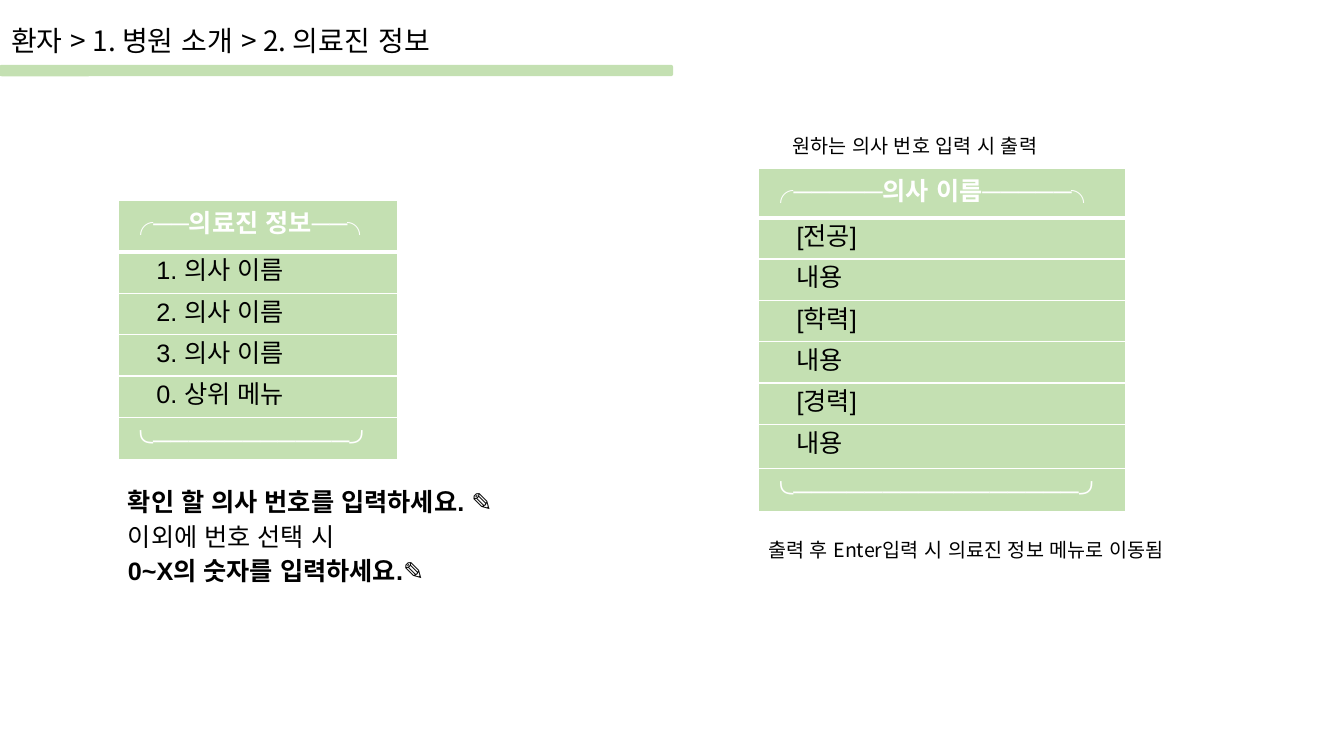
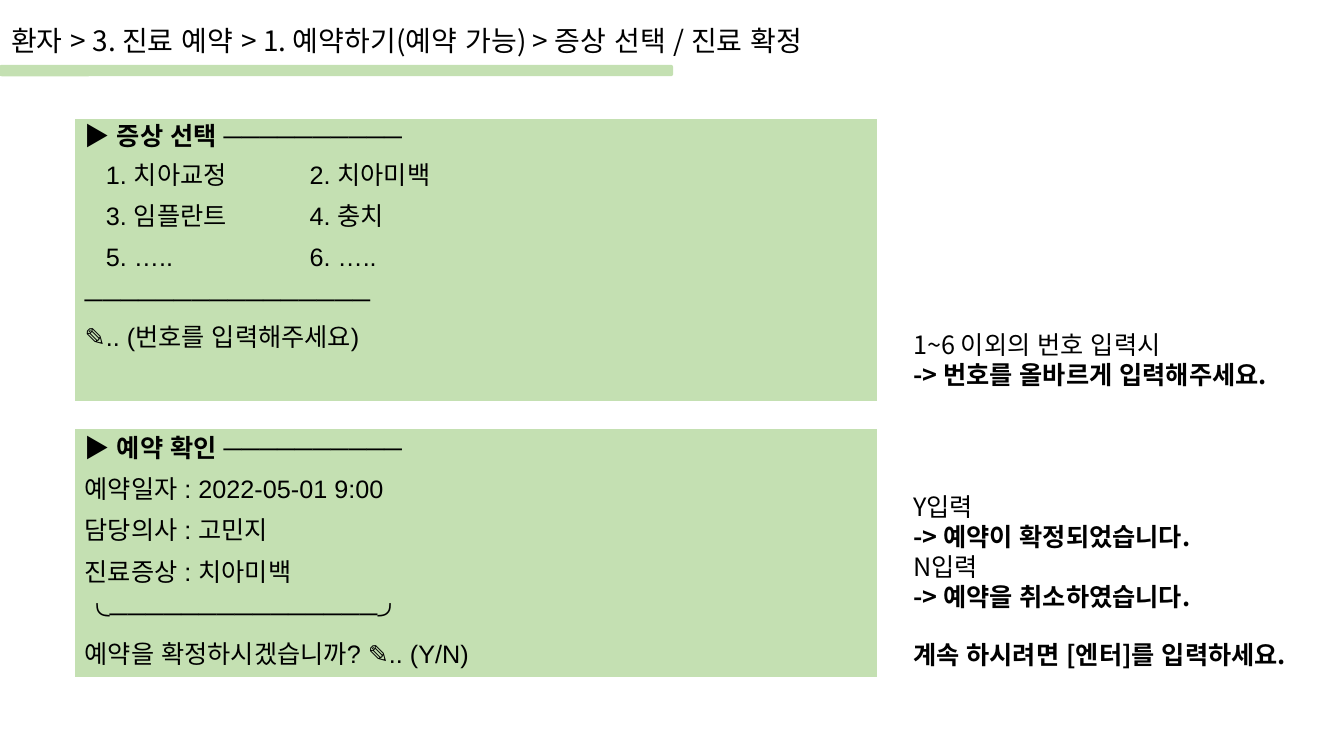
from dataclasses import dataclass

from lxml import etree
from pptx import Presentation
from pptx.dml.color import RGBColor
from pptx.enum.shapes import MSO_SHAPE
from pptx.enum.text import MSO_ANCHOR, MSO_AUTO_SIZE, PP_ALIGN
from pptx.oxml.ns import qn
from pptx.util import Inches, Pt

ROUNDED = MSO_SHAPE.ROUNDED_RECTANGLE
TOP = MSO_ANCHOR.TOP
LEFT = PP_ALIGN.LEFT
FIXED = MSO_AUTO_SIZE.NONE
PLAIN_TABLE_STYLE = "{2D5ABB26-0587-4C30-8999-92F81FD0307C}"


@dataclass(frozen=True)
class Theme:
    green: RGBColor = RGBColor(0xC4, 0xE0, 0xB2)
    white: RGBColor = RGBColor(0xFF, 0xFF, 0xFF)
    black: RGBColor = RGBColor(0x00, 0x00, 0x00)
    korean_font: str = "Noto Sans CJK KR"
    menu_font: str = "Arial"
    title_size: int = 20
    body_size: int = 18
    note_size: int = 14
    line_spacing: float = 1.15


THEME = Theme()


def write_lines(frame, lines, font_name, size, colour=THEME.black, spacing=None):
    for index, spans in enumerate(lines):
        para = frame.paragraphs[0] if index == 0 else frame.add_paragraph()
        para.alignment = LEFT
        para.line_spacing = spacing
        for text, bold in spans:
            span = para.add_run()
            span.text = text
            span.font.name = font_name
            span.font.size = Pt(size)
            span.font.bold = bold
            span.font.color.rgb = colour
            east_asian = etree.SubElement(span.font._element, qn("a:ea"))
            east_asian.set("typeface", THEME.menu_font)


def draw_borders(cell, edges, bottom_width):
    properties = cell._tc.get_or_add_tcPr()
    for position, edge in enumerate(edges):
        border = etree.Element(qn(f"a:ln{edge}"))
        border.set("w", str(Pt(bottom_width if edge == "B" else 1)))
        fill = etree.SubElement(border, qn("a:solidFill"))
        etree.SubElement(fill, qn("a:srgbClr")).set("val", str(THEME.white))
        properties.insert(position, border)


deck = Presentation()
deck.slide_width = Inches(13.33)
deck.slide_height = Inches(7.5)

titles = [
    ("환자 > 1. 병원 소개 > 2. 의료진 정보", 7.61),
    ("환자 > 3. 진료 예약 > 1. 예약하기(예약 가능) > 증상 선택 / 진료 확정", 9.15),
]
pages = []
for title_text, title_width in titles:
    page = deck.slides.add_slide(deck.slide_layouts[5])
    pages.append(page)

    band = page.shapes.add_shape(ROUNDED, 0, Inches(0.65), Inches(6.67), Inches(0.1))
    band.adjustments[0] = 0.17
    band.shadow.inherit = False
    band.fill.solid()
    band.fill.fore_color.rgb = THEME.green
    band.line.color.rgb = THEME.green
    band.line.width = Pt(1)

    title = page.shapes.title
    title.left, title.top = Inches(0.01), Inches(0.18)
    title.width, title.height = Inches(title_width), Inches(0.44)
    title.text_frame.vertical_anchor = TOP
    title.text_frame.auto_size = FIXED
    write_lines(title.text_frame, [[(title_text, False)]], THEME.korean_font, THEME.title_size)

doctor_page, booking_page = pages

framed_menus = [
    (1.17, 1.99, 2.77, [0.51] + [0.41] * 5,
     ["╭──의료진 정보──╮", "1. 의사 이름", "2. 의사 이름", "3. 의사 이름", "0. 상위 메뉴",
      "╰───────────╯"]),
    (7.52, 1.67, 3.64, [0.49] + [0.41] * 5 + [0.44, 0.41],
     ["╭─────의사 이름─────╮", "[전공]", "내용", "[학력]", "내용", "[경력]", "내용",
      "╰────────────────╯"]),
]
open_menus = [
    (0.74, 1.17, 7.96, [0.25, 0.41, 0.41, 0.41, 0.2, 0.41, 0.41],
     ["▶ 증상 선택 ──────────", "1. 치아교정\t2. 치아미백", "3. 임플란트\t4. 충치",
      "5. …..\t6. …..", "────────────────", "✎.. (번호를 입력해주세요)", ""],
     ["LRT", "", "", "", "", "LR", "LRB"]),
    (0.74, 4.26, 7.96, [0.41] * 6,
     ["▶ 예약 확인 ──────────", "예약일자 : 2022-05-01 9:00", "담당의사 : 고민지",
      "진료증상 : 치아미백", "╰───────────────╯", "예약을 확정하시겠습니까? ✎.. (Y/N)"],
     ["", "", "", "", "", "LRB"]),
]
menus = [
    (doctor_page, True, *menu, ["LRTB"] + ["LRB"] * (len(menu[4]) - 1))
    for menu in framed_menus
] + [(booking_page, False, *menu) for menu in open_menus]

for page, framed, left, top, width, heights, texts, borders in menus:
    frame = page.shapes.add_table(
        len(texts), 1, Inches(left), Inches(top), Inches(width), Inches(sum(heights)))
    table = frame.table
    table._tbl.tblPr.find(qn("a:tableStyleId")).text = PLAIN_TABLE_STYLE
    table.first_row = False
    table.horz_banding = False
    for index, (height, text, edges) in enumerate(zip(heights, texts, borders)):
        table.rows[index].height = Inches(height)
        cell = table.cell(index, 0)
        cell.fill.solid()
        cell.fill.fore_color.rgb = THEME.green
        header = index == 0
        draw_borders(cell, edges, 3 if framed and header else 1)
        if not text:
            continue
        capped = framed and (header or index == len(texts) - 1)
        if framed and not capped:
            cell.margin_left = Inches(0.38)
        if "\t" in text:
            cell.margin_left = Inches(0.31)
            properties = cell.text_frame.paragraphs[0]._p.get_or_add_pPr()
            tabs = etree.SubElement(properties, qn("a:tabLst"))
            tab = etree.SubElement(tabs, qn("a:tab"))
            tab.set("pos", str(Inches(2.02)))
            tab.set("algn", "l")
        write_lines(
            cell.text_frame, [[(text, header)]], THEME.menu_font, THEME.body_size,
            THEME.white if capped else THEME.black,
            THEME.line_spacing if capped else None)

notes = [
    (doctor_page, 1.17, 4.73, 4.45, 1.1, 0.05, THEME.menu_font, THEME.body_size,
     THEME.line_spacing,
     [[("확인 할 의사 번호를 입력하세요. ", True), ("✎", False)],
      [("이외에 번호 선택 시", False)],
      [("0~X의 숫자를 입력하세요.✎", True)]]),
    (doctor_page, 7.76, 1.23, 3.15, 0.44, 0.1, THEME.korean_font, THEME.note_size, None,
     [[("원하는 의사 번호 입력 시 출력", False)]]),
    (doctor_page, 7.52, 5.24, 5.8, 0.44, 0.1, THEME.korean_font, THEME.note_size, None,
     [[("출력 후 Enter입력 시 의료진 정보 메뉴로 이동됨", False)]]),
    (booking_page, 8.96, 4.82, 3.26, 1.31, 0.05, THEME.korean_font, THEME.body_size, None,
     [[("Y입력", False)], [("-> 예약이 확정되었습니다.", True)],
      [("N입력", False)], [("-> 예약을 취소하였습니다.", True)]]),
    (booking_page, 8.96, 3.22, 4.11, 0.71, 0.05, THEME.korean_font, THEME.body_size, None,
     [[("1~6 이외의 번호 입력시", False)], [("-> 번호를 올바르게 입력해주세요.", True)]]),
    (booking_page, 8.96, 6.29, 4.37, 0.4, 0.05, THEME.korean_font, THEME.body_size, None,
     [[("계속 하시려면 [엔터]를 입력하세요.", True)]]),
]
for page, left, top, width, height, inset, font_name, size, spacing, lines in notes:
    box = page.shapes.add_textbox(Inches(left), Inches(top), Inches(width), Inches(height))
    box.text_frame.word_wrap = True
    box.text_frame.margin_top = box.text_frame.margin_bottom = Inches(inset)
    write_lines(box.text_frame, lines, font_name, size, spacing=spacing)

deck.save("out.pptx")
